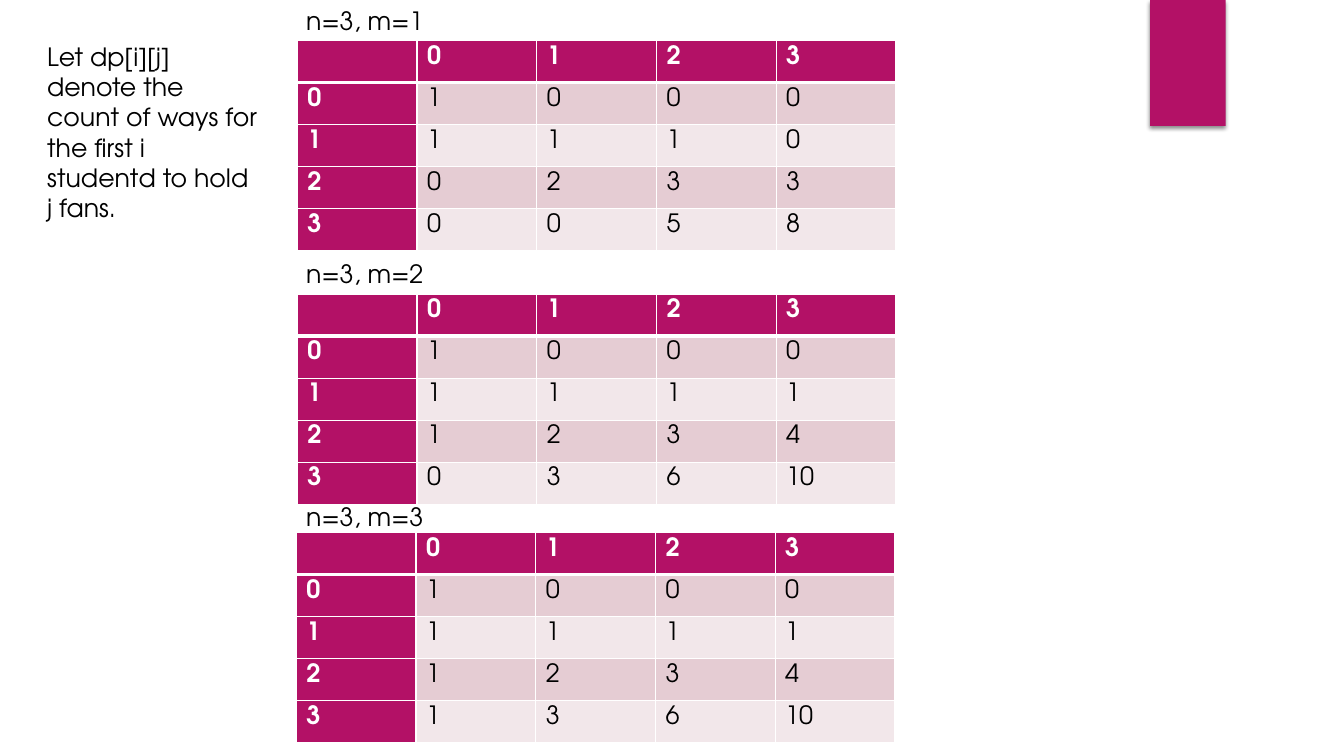
from lxml.etree import SubElement
from pptx import Presentation
from pptx.dml.color import RGBColor
from pptx.enum.shapes import MSO_SHAPE
from pptx.enum.text import MSO_AUTO_SIZE
from pptx.oxml import parse_xml
from pptx.oxml.ns import nsdecls, qn
from pptx.util import Pt

MAGENTA = RGBColor(0xB3, 0x11, 0x66)
DARK_BAND = RGBColor(0xE5, 0xCC, 0xD3)
LIGHT_BAND = RGBColor(0xF2, 0xE7, 0xEA)
WHITE = RGBColor(0xFF, 0xFF, 0xFF)
BLACK = RGBColor(0, 0, 0)
FONT = "TeX Gyre Adventor"
COLUMN_WIDTH = 85.5
ROW_HEIGHT = 30

INTRO = ("Let dp[i][j] denote the count of ways for the first i "
         "studentd to hold j fans.")
CASES = [
    ("n=3, m=2", 180.8, 212.4, 210.2,
     [[1, 0, 0, 0], [1, 1, 1, 1], [1, 2, 3, 4], [0, 3, 6, 10]]),
    ("n=3, m=3", 354.6, 211.7, 380.4,
     [[1, 0, 0, 0], [1, 1, 1, 1], [1, 2, 3, 4], [1, 3, 6, 10]]),
    ("n=3, m=1", 0, 212.4, 29,
     [[1, 0, 0, 0], [1, 1, 1, 0], [0, 2, 3, 3], [0, 0, 5, 8]]),
]


def style_font(font, color, bold=False):
    font.name = FONT
    font.size = Pt(18)
    font.bold = bold
    font.color.rgb = color


def add_label(page, text, left, top, width, height):
    box = page.shapes.add_textbox(Pt(left), Pt(top), Pt(width), Pt(height))
    frame = box.text_frame
    frame.word_wrap = True
    frame.auto_size = MSO_AUTO_SIZE.SHAPE_TO_FIT_TEXT
    frame.text = text
    style_font(frame.paragraphs[0].font, BLACK)


def add_borders(cell, top_width, bottom_width):
    properties = cell._tc.get_or_add_tcPr()
    sides = {"L": 1, "R": 1, "T": top_width, "B": bottom_width}
    for side, width in sides.items():
        line = SubElement(properties, qn(f"a:ln{side}"), w=str(Pt(width)))
        fill = SubElement(line, qn("a:solidFill"))
        SubElement(fill, qn("a:srgbClr"), val=str(WHITE))


def style_cell(cell, row, column):
    is_header = row == 0 or column == 0
    add_borders(cell, 3 if row == 1 else 1, 3 if row == 0 else 1)
    cell.fill.solid()
    band = DARK_BAND if row % 2 else LIGHT_BAND
    cell.fill.fore_color.rgb = MAGENTA if is_header else band
    style_font(cell.text_frame.paragraphs[0].font,
               WHITE if is_header else BLACK, is_header)


def add_count_table(page, counts, left, top):
    header = ["", *range(len(counts[0]))]
    rows = [header] + [[student, *values] for student, values in enumerate(counts)]
    frame = page.shapes.add_table(
        len(rows), len(header), Pt(left), Pt(top),
        Pt(COLUMN_WIDTH * len(header)), Pt(ROW_HEIGHT * len(rows)))
    table = frame.table
    for table_column in table.columns:
        table_column.width = Pt(COLUMN_WIDTH)
    for row, values in enumerate(rows):
        table.rows[row].height = Pt(ROW_HEIGHT)
        for column, value in enumerate(values):
            cell = table.cell(row, column)
            cell.text = str(value)
            style_cell(cell, row, column)


def add_ribbon(page):
    ribbon = page.shapes.add_shape(
        MSO_SHAPE.RECTANGLE, Pt(821.5), Pt(0), Pt(54), Pt(90))
    ribbon.fill.solid()
    ribbon.fill.fore_color.rgb = MAGENTA
    ribbon.line.fill.background()
    ribbon._element.spPr.append(parse_xml(
        f'<a:effectLst {nsdecls("a")}>'
        f'<a:outerShdw blurRad="{Pt(3)}" dist="{Pt(2)}" dir="5400000" rotWithShape="0">'
        '<a:srgbClr val="000000"><a:alpha val="45000"/></a:srgbClr>'
        '</a:outerShdw></a:effectLst>'))


def main():
    deck = Presentation()
    deck.slide_width = Pt(960)
    deck.slide_height = Pt(540)
    page = deck.slides.add_slide(deck.slide_layouts[6])
    add_ribbon(page)
    for caption, caption_top, table_left, table_top, counts in CASES:
        add_count_table(page, counts, table_left, table_top)
        add_label(page, caption, 211.7, caption_top, 129.6, 29)
    add_label(page, INTRO, 26.6, 25.9, 164.9, 116)
    deck.save("out.pptx")


if __name__ == "__main__":
    main()
